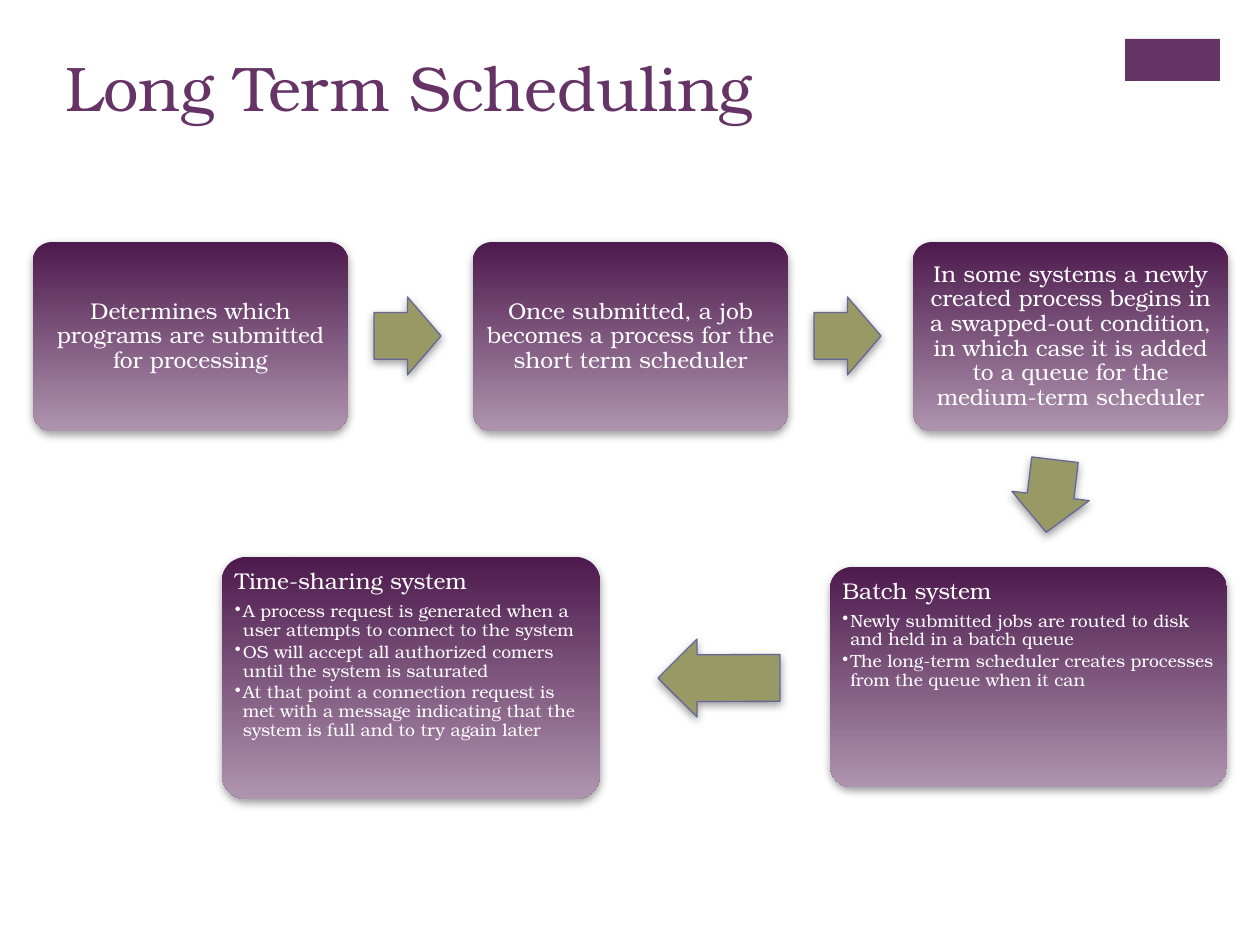
from lxml import etree
from pptx import Presentation
from pptx.dml.color import RGBColor
from pptx.enum.shapes import MSO_SHAPE as SHAPE
from pptx.enum.text import MSO_ANCHOR as ANCHOR, PP_ALIGN as ALIGN
from pptx.oxml import parse_xml
from pptx.oxml.ns import qn
from pptx.util import Pt

PX = 914400 / 126
FONT = "TeX Gyre Bonum"
PURPLE = RGBColor(0x66, 0x33, 0x66)
DARK = RGBColor(0x4D, 0x1A, 0x4D)
LIGHT = RGBColor(0xAF, 0x94, 0xAF)
OLIVE = RGBColor(0x99, 0x99, 0x66)
SLATE = RGBColor(0x66, 0x66, 0x99)
WHITE = RGBColor(0xFF, 0xFF, 0xFF)
SHADOW = (
    '<a:effectLst xmlns:a="http://schemas.openxmlformats.org/drawingml/2006/main">'
    '<a:outerShdw blurRad="63500" dist="25400" dir="5400000" rotWithShape="0">'
    '<a:srgbClr val="808080"><a:alpha val="75000"/></a:srgbClr>'
    '</a:outerShdw></a:effectLst>'
)


def px(n):
    return round(n * PX)


def add(kind, area, shade=True):
    shape = slide.shapes.add_shape(kind, *map(px, area))
    shape.shadow.inherit = False
    if shade:
        props = shape._element.spPr
        props.replace(props.find(qn("a:effectLst")), parse_xml(SHADOW))
    return shape


deck = Presentation()
deck.slide_width, deck.slide_height = px(1260), px(945)
slide = deck.slides.add_slide(deck.slide_layouts[5])

# Corner tag
tag = add(SHAPE.RECTANGLE, (1125, 39, 95, 42), shade=False)
tag.fill.solid()
tag.fill.fore_color.rgb = PURPLE
tag.line.fill.background()

# Title
title = slide.shapes.title
title.left, title.top, title.width, title.height = map(px, (53, 42, 1041, 154))
title.text_frame.text = "Long Term Scheduling"
title.text_frame.vertical_anchor = ANCHOR.TOP
head = title.text_frame.paragraphs[0]
head.alignment = ALIGN.LEFT
head.font.name, head.font.size = FONT, Pt(36)
head.font.color.rgb = PURPLE

# Steps: a top row of three, then the two systems with their bullets
row = [
    "Determines which programs are submitted for processing",
    "Once submitted, a job becomes a process for the short term scheduler",
    "In some systems a newly created process begins in a swapped-out condition, "
    "in which case it is added to a queue for the medium-term scheduler",
]
steps = [((33 + 440 * i, 242, 315, 189), [text]) for i, text in enumerate(row)]
steps += [
    ((830, 567, 397, 220), [
        "Batch system",
        "Newly submitted jobs are routed to disk and held in a batch queue",
        "The long-term scheduler creates processes from the queue when it can",
    ]),
    ((222, 557, 378, 242), [
        "Time-sharing system",
        "A process request is generated when a user attempts to connect to the system",
        "OS will accept all authorized comers until the system is saturated",
        "At that point a connection request is met with a message indicating "
        "that the system is full and to try again later",
    ]),
]
for area, lines in steps:
    box = add(SHAPE.ROUNDED_RECTANGLE, area)
    box.adjustments[0] = 0.1
    box.line.fill.background()
    box.fill.gradient()
    box.fill.gradient_angle = 270
    for stop, color in zip(box.fill.gradient_stops, (DARK, LIGHT)):
        stop.color.rgb = color

    single = len(lines) == 1
    frame = box.text_frame
    frame.word_wrap = True
    frame.margin_left = frame.margin_right = px(6)
    frame.margin_top = frame.margin_bottom = px(6)
    frame.vertical_anchor = ANCHOR.MIDDLE if single else ANCHOR.TOP
    frame.text = "\n".join(lines)
    for i, para in enumerate(frame.paragraphs):
        para.alignment = ALIGN.CENTER if single else ALIGN.LEFT
        para.line_spacing = 0.9
        para.space_after = Pt(1.5 if i else 4.5)
        para.font.name = FONT
        para.font.size = Pt(10 if i else 13)
        para.font.color.rgb = WHITE
        if i:
            para.level = 1
            props = para._p.get_or_add_pPr()
            props.set("marL", str(px(8)))
            props.set("indent", str(-px(8)))
            bullet = etree.Element(qn("a:buChar"), char="•")
            props.find(qn("a:spcAft")).addnext(bullet)

# Arrows from step to step
arrows = [
    ((374, 297, 67, 78), 0),
    ((814, 297, 67, 78), 0),
    ((1014, 457, 73, 78), 96.9),
    ((658, 639, 122, 78), 179.9),
]
for area, turn in arrows:
    arrow = add(SHAPE.RIGHT_ARROW, area)
    arrow.adjustments[0], arrow.adjustments[1] = 0.6, 0.5
    arrow.rotation = turn
    arrow.fill.solid()
    arrow.fill.fore_color.rgb = OLIVE
    arrow.line.color.rgb = SLATE
    arrow.line.width = Pt(0.75)

deck.save("out.pptx")
